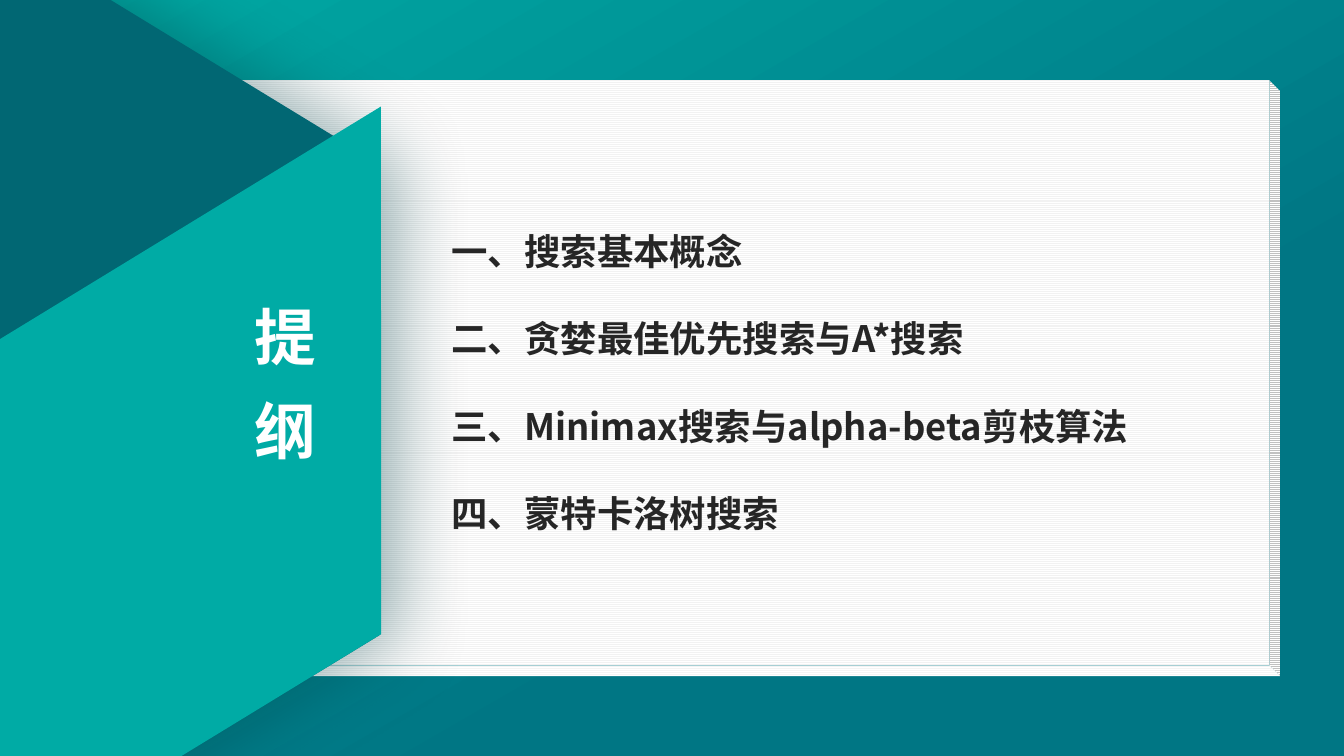
import pptx
import pptx.util
import pptx.oxml
import pptx.oxml.ns
from pptx.dml.color import RGBColor
from pptx.enum.dml import MSO_PATTERN
from pptx.enum.shapes import MSO_SHAPE
from pptx.enum.text import MSO_ANCHOR, MSO_AUTO_SIZE, PP_ALIGN
from pptx.util import Cm

FONT = "Noto Sans CJK SC"
TEAL = RGBColor(0x00, 0xAB, 0xA5)
DEEP_TEAL = RGBColor(0x00, 0x76, 0x84)
DARK_TEAL = RGBColor(0x01, 0x67, 0x73)
SHADE = RGBColor(0x01, 0x3F, 0x45)
STRIPE = RGBColor(0xF2, 0xF2, 0xF2)
WHITE = RGBColor(0xFF, 0xFF, 0xFF)
BLACK = RGBColor(0x00, 0x00, 0x00)
INK = RGBColor(0x26, 0x26, 0x26)

TOPICS = [
    "一、搜索基本概念",
    "二、贪婪最佳优先搜索与A*搜索",
    "三、Minimax搜索与alpha-beta剪枝算法",
    "四、蒙特卡洛树搜索",
]


def set_gradient(fill, stops, angle):
    fill.gradient()
    fill.gradient_angle = 360 - angle
    for stop, (position, color) in zip(fill.gradient_stops, stops):
        stop.position = position
        stop.color.rgb = color


def shadow_xml(color, alpha, blur, dist, angle):
    return pptx.oxml.parse_xml(
        f'<a:effectLst {pptx.oxml.ns.nsdecls("a")}>'
        f'<a:outerShdw blurRad="{pptx.util.Pt(blur)}" dist="{pptx.util.Pt(dist)}" '
        f'dir="{angle * 60000}" algn="l" rotWithShape="0">'
        f'<a:srgbClr val="{color}"><a:alpha val="{alpha * 1000}"/></a:srgbClr>'
        '</a:outerShdw></a:effectLst>')


def add_plain(s, kind, left, top, width, height, adjustment):
    sp = s.shapes.add_shape(kind, Cm(left), Cm(top), Cm(width), Cm(height))
    sp.adjustments[0] = adjustment
    sp.shadow.inherit = False
    sp.line.fill.background()
    return sp


def format_font(p, size, color):
    p.font.size = pptx.util.Pt(size)
    p.font.bold = True
    p.font.color.rgb = color
    p.font.name = FONT
    latin = p.font._element.find(pptx.oxml.ns.qn("a:latin"))
    latin.addnext(pptx.oxml.parse_xml(
        f'<a:ea {pptx.oxml.ns.nsdecls("a")} typeface="{FONT}"/>'))


def add_book(s, left, top, width, height):
    sp = add_plain(s, MSO_SHAPE.CUBE, left, top, width, height, 0.018)
    sp._element.spPr.xfrm.set("flipV", "1")
    sp.fill.patterned()
    sp.fill.pattern = MSO_PATTERN.LIGHT_HORIZONTAL
    sp.fill.fore_color.rgb = STRIPE
    sp.fill.back_color.rgb = WHITE


def add_ribbon(s, left, top, width, height):
    hexagon = add_plain(s, MSO_SHAPE.HEXAGON, left, top, width, height, 0.305)
    hexagon.rotation = 90
    set_gradient(hexagon.fill, [(0.77, DARK_TEAL), (1, DEEP_TEAL)], 90)
    effects = hexagon._element.spPr.find(pptx.oxml.ns.qn("a:effectLst"))
    effects.getparent().replace(effects, shadow_xml(SHADE, 40, 55, 13, 0))

    band = add_plain(s, MSO_SHAPE.PARALLELOGRAM,
                     left + 8.81, top + 9.35, 21.06, 11.35, 0.61)
    band.rotation = 328.6
    band.fill.solid()
    band.fill.fore_color.rgb = TEAL


def place_title(s, left, top, width, height):
    sp = s.shapes.title
    sp.left, sp.top, sp.width, sp.height = map(Cm, (left, top, width, height))
    s.shapes._spTree.append(sp._element)
    tf = sp.text_frame
    tf.text = "提纲"
    tf.word_wrap = True
    tf.auto_size = MSO_AUTO_SIZE.NONE
    tf.vertical_anchor = MSO_ANCHOR.MIDDLE
    tf.margin_left = tf.margin_right = tf.margin_top = tf.margin_bottom = 0
    p = tf.paragraphs[0]
    p.alignment = PP_ALIGN.CENTER
    p.line_spacing = pptx.util.Pt(67)
    format_font(p, 44, WHITE)
    latin = p.font._element.find(pptx.oxml.ns.qn("a:latin"))
    latin.addprevious(shadow_xml(BLACK, 43, 3, 3, 45))


def add_topics(s, left, top, width, height):
    sp = s.shapes.add_textbox(Cm(left), Cm(top), Cm(width), Cm(height))
    tf = sp.text_frame
    tf.word_wrap = True
    tf.auto_size = MSO_AUTO_SIZE.SHAPE_TO_FIT_TEXT
    tf.text = "\n".join(TOPICS)
    for p in tf.paragraphs:
        p.line_spacing = 2.0
        format_font(p, 26, INK)


def build_outline(prs):
    s = prs.slides.add_slide(prs.slide_layouts[5])
    set_gradient(s.background.fill, [(0, TEAL), (0.67, DEEP_TEAL)], 60)
    add_book(s, 0, 2.03, 32.26, 15.01)
    add_ribbon(s, -15.77, -2.01, 26.57, 24.16)
    place_title(s, 6.25, 6.95, 1.9, 4.9)
    add_topics(s, 11.13, 4.55, 18.16, 8.81)


def main():
    prs = pptx.Presentation()
    prs.slide_width = Cm(33.87)
    prs.slide_height = Cm(19.05)
    build_outline(prs)
    prs.save("out.pptx")


if __name__ == "__main__":
    main()
